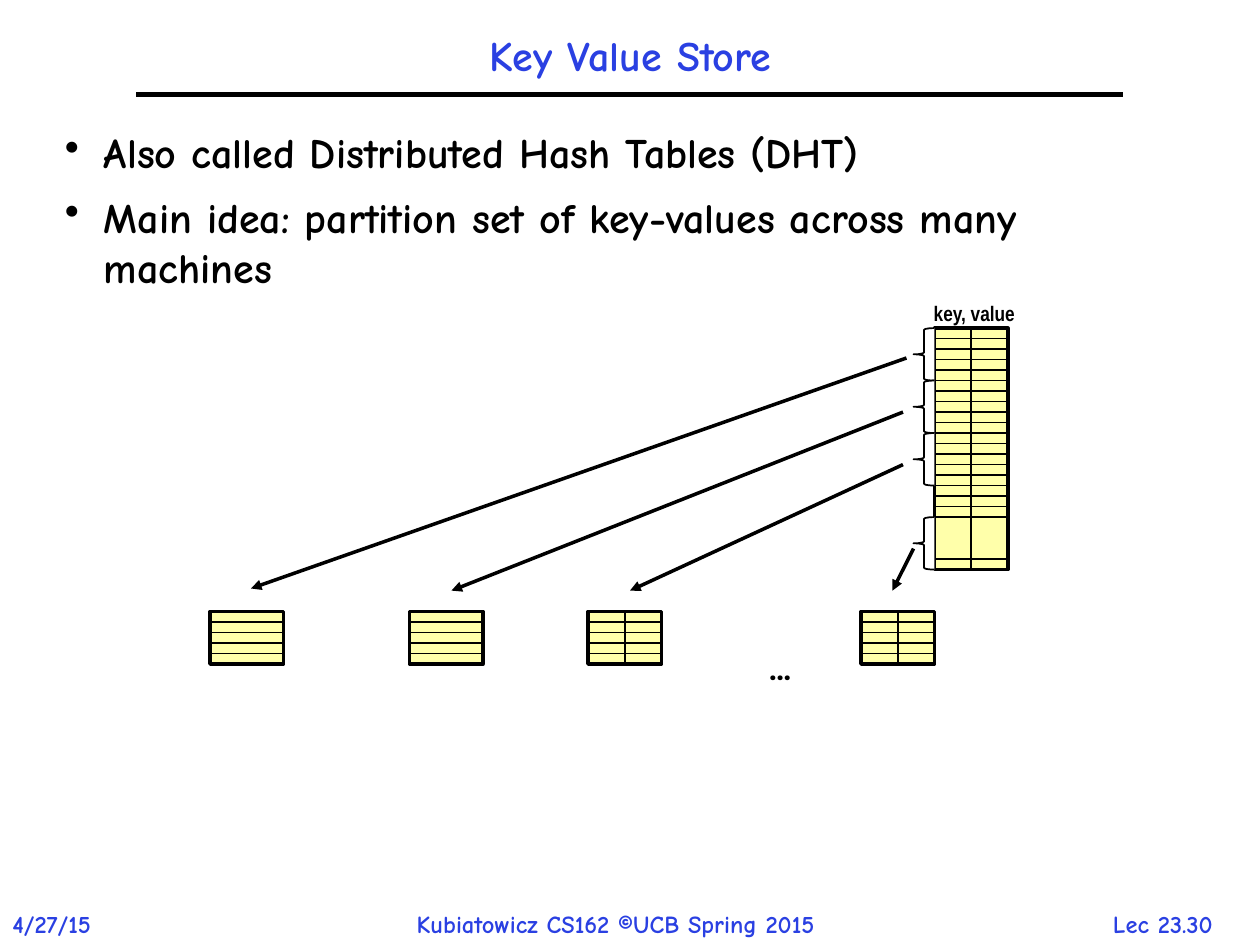
from dataclasses import dataclass

from lxml import etree
from pptx import Presentation
from pptx.dml.color import RGBColor
from pptx.enum.shapes import MSO_CONNECTOR, MSO_SHAPE
from pptx.enum.text import MSO_ANCHOR, PP_ALIGN
from pptx.oxml.ns import qn
from pptx.util import Inches, Pt

STRAIGHT = MSO_CONNECTOR.STRAIGHT
RECTANGLE = MSO_SHAPE.RECTANGLE
BRACE = MSO_SHAPE.LEFT_BRACE
LEFT, CENTER = PP_ALIGN.LEFT, PP_ALIGN.CENTER
TOP, MIDDLE = MSO_ANCHOR.TOP, MSO_ANCHOR.MIDDLE
COLORS = {"ink": "000000", "accent": "2A40E2", "cell": "FFFFAA", "paper": "FFFFFF"}
BODY_FONT = "Comic Neue"
CELLS_PER_INCH = 12
TABLE_COLUMN, TABLE_ROW, TABLE_WIDTH = 89, 31.25, 7
SERVER_ROW, PARTITION_ROWS = 58.25, 5


@dataclass
class Label:
    lines: list[str]
    column: float
    row: float
    width: float
    height: float
    size: float
    color: str = "ink"
    font: str = BODY_FONT
    align: PP_ALIGN = LEFT
    anchor: MSO_ANCHOR = TOP
    wrap: bool = False
    bulleted: bool = False


@dataclass
class Store:
    column: float
    row: float
    rows: int
    rules: list[int]
    divided: bool


@dataclass
class Line:
    start: tuple[float, float]
    end: tuple[float, float]
    weight: float
    arrow: bool = False


LABELS = [
    Label(["Lec 23.30"], 102.75, 86, 16, 4, 14, "accent", align=CENTER),
    Label(["4/27/15"], 0, 86, 12, 4, 14, "accent"),
    Label(["Kubiatowicz CS162 ©UCB Spring 2015"], 38.5, 86, 46.5, 4, 14, "accent"),
    Label(["Key Value Store"], 13, 2, 94, 7, 24, "accent", align=CENTER,
          anchor=MIDDLE, wrap=True),
    Label(["Also called Distributed Hash Tables (DHT)",
           "Main idea: partition set of key-values across many machines"],
          5, 12, 110, 20, 24, wrap=True, bulleted=True),
    Label(["key, value"], 87.75, 28, 10.25, 3.5, 12, font="Arial Narrow"),
    Label(["…"], 72, 61.25, 6.5, 6, 18, font="Roboto"),
]
STORES = [
    Store(TABLE_COLUMN, TABLE_ROW, 23, [*range(1, 19), 22], True),
    Store(82, SERVER_ROW, PARTITION_ROWS, [1, 2, 3, 4], True),
    Store(20, SERVER_ROW, PARTITION_ROWS, [0, 1, 2, 3, 4], False),
    Store(39, SERVER_ROW, PARTITION_ROWS, [0, 1, 2, 3, 4], False),
    Store(56, SERVER_ROW, PARTITION_ROWS, [0, 1, 2, 3, 4], True),
]
PARTITION_STARTS = [0, 5, 10, 18]
TITLE_RULE = Line((13, 9), (107, 9), 3)
ARROWS = [
    Line((86.33, 34.1), (23.9, 56.05), 2, True),
    Line((86, 39.25), (43, 56.25), 2, True),
    Line((86, 44.25), (60, 56.25), 2, True),
    Line((87, 52.25), (85, 56.25), 2, True),
]


def grid(cells: float) -> int:
    return Inches(cells / CELLS_PER_INCH)


def color(name: str) -> RGBColor:
    return RGBColor.from_string(COLORS[name])


def draw_line(shapes, line: Line):
    connector = shapes.add_connector(
        STRAIGHT, *(grid(cells) for cells in (*line.start, *line.end)))
    connector.line.color.rgb = color("ink")
    connector.line.width = Pt(line.weight)
    properties = connector._element.spPr
    if line.arrow:
        etree.SubElement(properties.find(qn("a:ln")), qn("a:tailEnd"), type="triangle")
    etree.SubElement(properties, qn("a:effectLst"))
    return connector


def draw_shape(shapes, kind: MSO_SHAPE, column: float, row: float,
               width: float, height: float, fill: str, weight: float):
    shape = shapes.add_shape(kind, grid(column), grid(row), grid(width), grid(height))
    shape.shadow.inherit = False
    shape.fill.solid()
    shape.fill.fore_color.rgb = color(fill)
    shape.line.color.rgb = color("ink")
    shape.line.width = Pt(weight)
    return shape


def draw_store(slide, store: Store) -> None:
    shapes = slide.shapes.add_group_shape().shapes
    frame = draw_shape(shapes, RECTANGLE, store.column, store.row,
                       TABLE_WIDTH, store.rows, "cell", 2)
    if store.divided:
        middle = store.column + TABLE_WIDTH / 2
        divider = draw_line(shapes, Line((middle, store.row),
                                         (middle, store.row + store.rows), 1))
        divider.begin_connect(frame, 0)
        divider.end_connect(frame, 2)
    for rule in store.rules:
        row = store.row + rule
        draw_line(shapes, Line((store.column, row), (store.column + TABLE_WIDTH, row), 1))


def add_bullet(paragraph) -> None:
    properties = paragraph._p.get_or_add_pPr()
    properties.set("marL", str(Inches(0.31)))
    properties.set("indent", str(Inches(-0.31)))
    etree.SubElement(properties, qn("a:buChar"), char="•")


def draw_label(slide, label: Label) -> None:
    box = slide.shapes.add_textbox(grid(label.column), grid(label.row),
                                   grid(label.width), grid(label.height))
    frame = box.text_frame
    frame.text = "\n".join(label.lines)
    frame.word_wrap = label.wrap
    frame.vertical_anchor = label.anchor
    for index, paragraph in enumerate(frame.paragraphs):
        paragraph.alignment = label.align
        if label.wrap and index == 0:
            paragraph.line_spacing = 0.9
        if index:
            paragraph.space_before = Pt(8)
        if label.bulleted:
            add_bullet(paragraph)
        for run in paragraph.runs:
            run.font.name = label.font
            run.font.size = Pt(label.size)
            run.font.bold = True
            run.font.color.rgb = color(label.color)


def main() -> None:
    presentation = Presentation()
    presentation.slide_width = Inches(10)
    presentation.slide_height = Inches(7.5)
    slide = presentation.slides.add_slide(presentation.slide_layouts[6])
    draw_line(slide.shapes, TITLE_RULE)
    for store in STORES:
        draw_store(slide, store)
    for start in PARTITION_STARTS:
        draw_shape(slide.shapes, BRACE, TABLE_COLUMN - 2, TABLE_ROW + start,
                   2, PARTITION_ROWS, "paper", 1)
    for arrow in ARROWS:
        draw_line(slide.shapes, arrow)
    for label in LABELS:
        draw_label(slide, label)
    presentation.save("out.pptx")


if __name__ == "__main__":
    main()
